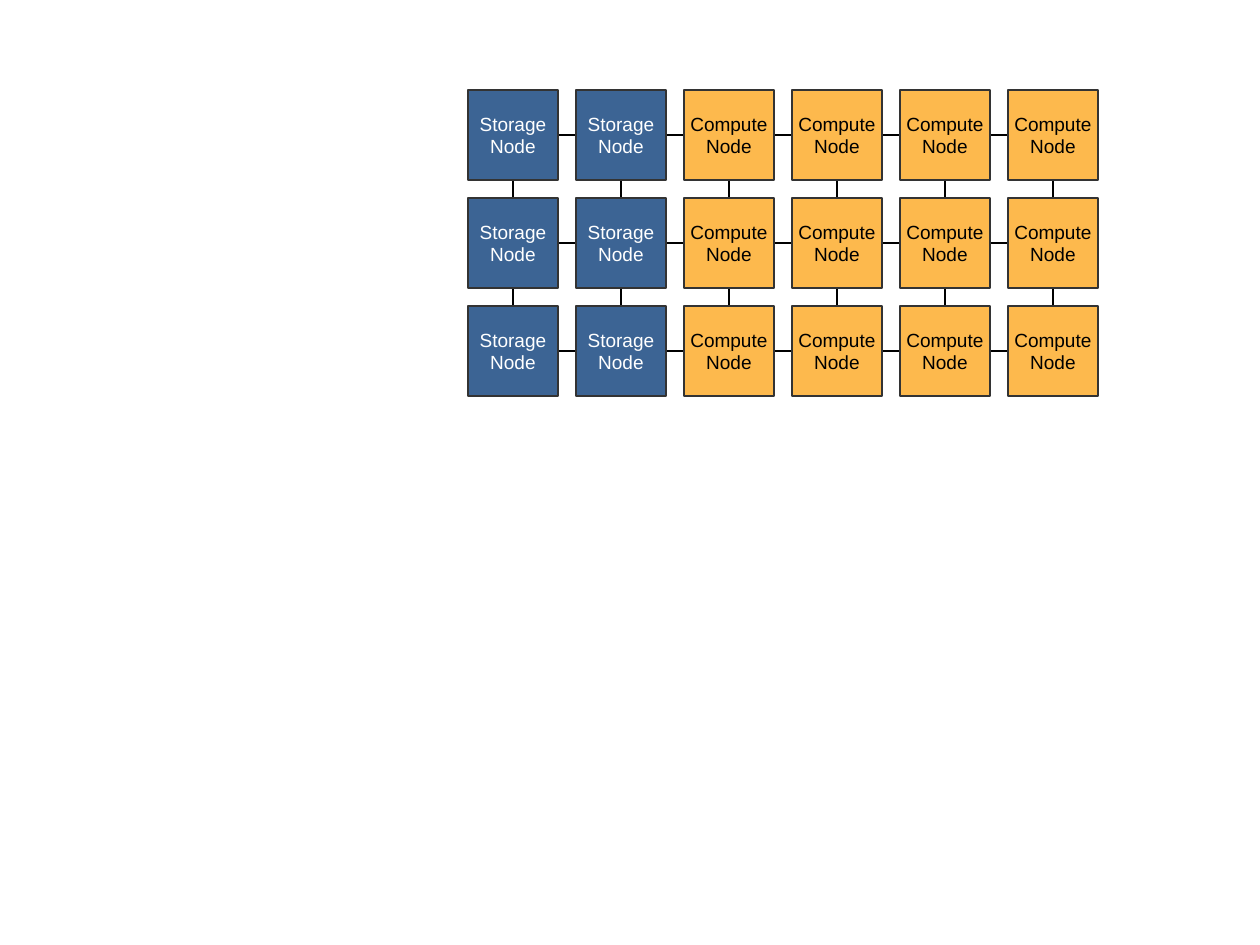
"""Build a slide showing a mesh of storage and compute nodes."""
from lxml import etree
from pptx import Presentation
from pptx.dml.color import RGBColor
from pptx.enum import shapes, text
from pptx.oxml import ns
from pptx.util import Inches, Pt

ROWS, COLS, STORAGE_COLS = 3, 6, 2
LEFT, TOP, SIZE, PITCH = 10.4, 2, 2, 2.4


def cm(value):
    """Return a length given in centimetres."""
    return Inches(value / 2.54)


def rgb(value):
    """Return the colour for a hex string."""
    return RGBColor.from_string(value)


def add_link(slide, x1, y1, x2, y2):
    """Draw a plain black line between two points."""
    link = slide.shapes.add_connector(
        shapes.MSO_CONNECTOR.STRAIGHT, cm(x1), cm(y1), cm(x2), cm(y2))
    link.line.color.rgb = rgb("000000")
    link.line.width = Pt(1.42)
    etree.SubElement(link._element.spPr, ns.qn("a:effectLst"))


def add_node(slide, x, y, kind, fill, color):
    """Draw a square node with its kind on the first line."""
    sp = slide.shapes.add_shape(
        shapes.MSO_SHAPE.RECTANGLE, cm(x), cm(y), cm(SIZE), cm(SIZE))
    sp.shadow.inherit = False
    sp.fill.solid()
    sp.fill.fore_color.rgb = rgb(fill)
    sp.line.color.rgb = rgb("333333")
    sp.line.width = Pt(0.85)
    tf = sp.text_frame
    tf.word_wrap = False
    tf.vertical_anchor = text.MSO_ANCHOR.MIDDLE
    tf.margin_left = tf.margin_right = Inches(0.1)
    tf.margin_top = tf.margin_bottom = Inches(0.06)
    tf.text = f"{kind}\nNode"
    for p in tf.paragraphs:
        p.alignment = text.PP_ALIGN.CENTER
        p.font.name = "Arial"
        p.font.size = Pt(12)
        p.font.color.rgb = rgb(color)


def main():
    """Build and save the slide."""
    prs = Presentation()
    prs.slide_width, prs.slide_height = cm(28), cm(21)
    slide = prs.slides.add_slide(prs.slide_layouts[6])
    xs = [LEFT + col * PITCH for col in range(COLS)]
    ys = [TOP + row * PITCH for row in range(ROWS)]
    for x in xs:
        add_link(slide, x + SIZE / 2, ys[-1], x + SIZE / 2, ys[0] + SIZE)
    for y in ys:
        add_link(slide, xs[0] + SIZE, y + SIZE / 2, xs[-1], y + SIZE / 2)
    storage = ("Storage", "3C6494", "FFFFFF")
    compute = ("Compute", "FDB94D", "000000")
    for col, x in enumerate(xs):
        style = storage if col < STORAGE_COLS else compute
        for y in ys:
            add_node(slide, x, y, *style)
    prs.save("out.pptx")


if __name__ == "__main__":
    main()
